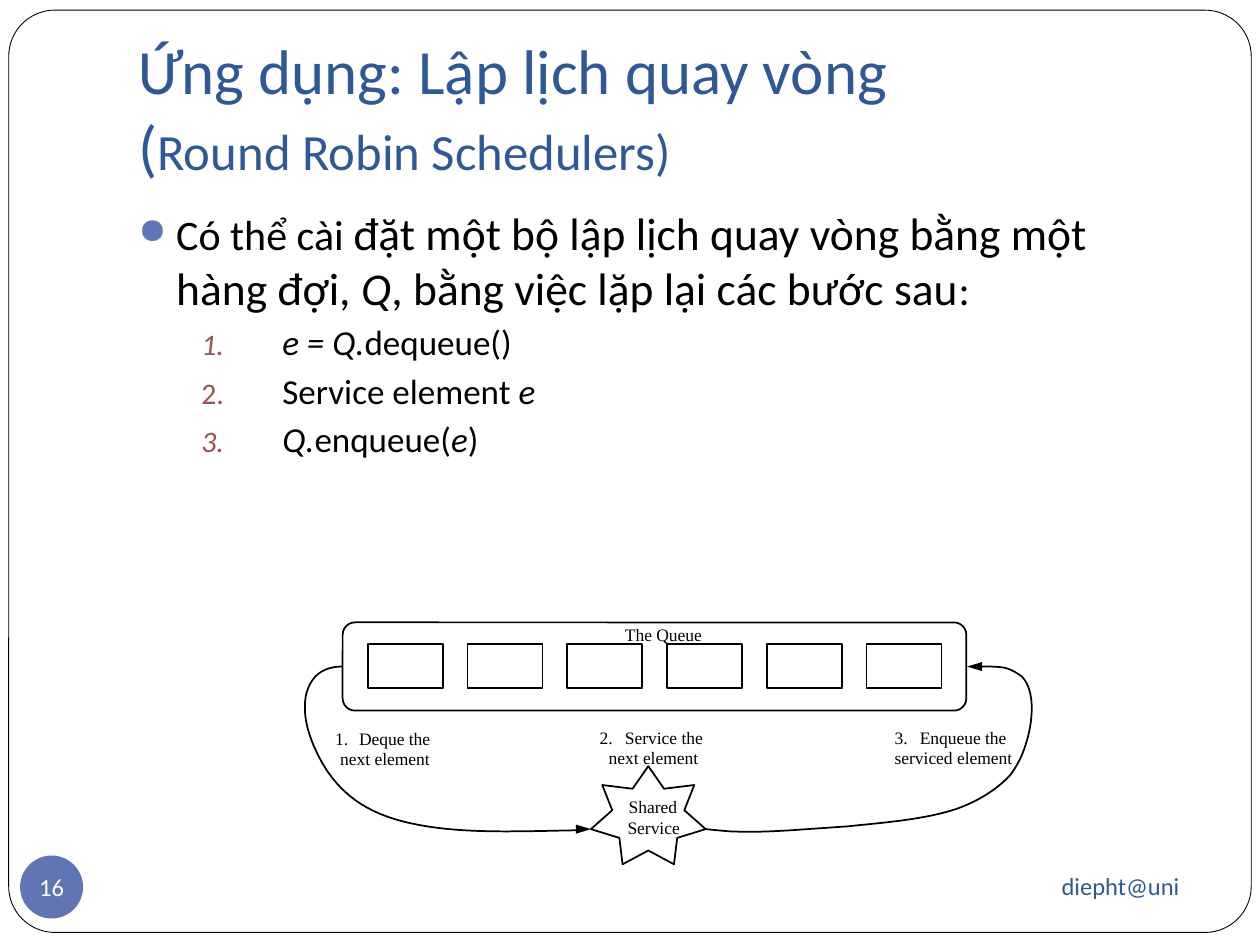
from dataclasses import dataclass

from lxml.etree import SubElement
from pptx import Presentation
from pptx.dml.color import RGBColor
from pptx.enum.shapes import MSO_SHAPE
from pptx.enum.text import MSO_ANCHOR, PP_ALIGN
from pptx.oxml.ns import qn
from pptx.util import Pt

COLORS = {
    "title": "2F5897", "accent": "6076B4", "number": "9C5252",
    "ink": "000000", "paper": "FFFFFF",
}
Point = tuple[float, float]


@dataclass
class Run:
    text: str
    size: float
    color: str = "ink"
    italic: bool = False
    font: str = "Calibri"


@dataclass
class Step:
    number: str
    number_left: float
    words: str
    words_left: float
    rest: str
    rest_left: float
    top: float


def rgb(name: str) -> RGBColor:
    return RGBColor.from_string(COLORS[name])


def paint(sp, fill: str | None, line: str | None, width: float = 1) -> None:
    sp.shadow.inherit = False
    if fill:
        sp.fill.solid()
        sp.fill.fore_color.rgb = rgb(fill)
    else:
        sp.fill.background()
    if line:
        sp.line.color.rgb = rgb(line)
        sp.line.width = Pt(width)
    else:
        sp.line.fill.background()


def add_box(s, kind, left: float, top: float, width: float, height: float,
            fill: str | None, line: str | None, weight: float = 1):
    sp = s.shapes.add_shape(kind, Pt(left), Pt(top), Pt(width), Pt(height))
    paint(sp, fill, line, weight)
    return sp


def add_outline(s, points: list[Point], fill: str | None, line: str | None,
                closed: bool = True) -> None:
    emu = [(Pt(x), Pt(y)) for x, y in points]
    builder = s.shapes.build_freeform(*emu[0])
    builder.add_line_segments(emu[1:], close=closed)
    paint(builder.convert_to_shape(), fill, line)


def trace_curve(points: list[Point], steps: int = 16) -> list[Point]:
    """Follow a chain of cubic curves: a start, then two handles and an end each."""
    path = [points[0]]
    for i in range(0, len(points) - 1, 3):
        a, b, c, d = points[i:i + 4]
        for n in range(1, steps + 1):
            t = n / steps
            u = 1 - t
            path.append(tuple(
                u**3 * a[k] + 3 * u * u * t * b[k] + 3 * u * t * t * c[k] + t**3 * d[k]
                for k in (0, 1)))
    return path


def add_arrow(s, curve: list[Point], tip: Point, head: float) -> None:
    """Draw a curve and its head; head is the signed run from tip to base."""
    add_outline(s, trace_curve(curve), None, "ink", closed=False)
    x, y = tip
    add_outline(s, [(x + head, y - 2.6), tip, (x + head, y + 2.6)], "ink", None)


def set_frame(tf, margins=(7.2, 3.6, 7.2, 3.6), anchor=MSO_ANCHOR.TOP,
              wrap: bool = True) -> None:
    tf.margin_left, tf.margin_top, tf.margin_right, tf.margin_bottom = map(Pt, margins)
    tf.vertical_anchor = anchor
    tf.word_wrap = wrap


def add_text(s, left: float, top: float, width: float, height: float, **frame):
    tf = s.shapes.add_textbox(Pt(left), Pt(top), Pt(width), Pt(height)).text_frame
    set_frame(tf, **frame)
    return tf


def add_runs(p, runs: list[Run]) -> None:
    for run in runs:
        r = p.add_run()
        r.text = run.text
        r.font.name = run.font
        r.font.size = Pt(run.size)
        r.font.italic = run.italic
        r.font.color.rgb = rgb(run.color)


def add_label(s, text: str, left: float, top: float, width: float = 70) -> None:
    tf = add_text(s, left, top, width, 12.2, margins=(0, 0, 0, 0), wrap=False)
    add_runs(tf.paragraphs[0], [Run(text, 10, font="Times New Roman")])


def set_bullet(p, left: float, hang: float, color: str, tag: str, **attrs: str) -> None:
    pPr = p._p.get_or_add_pPr()
    pPr.set("marL", str(Pt(left)))
    pPr.set("indent", str(-Pt(hang)))
    clr = SubElement(pPr, qn("a:buClr"))
    SubElement(clr, qn("a:srgbClr"), val=COLORS[color])
    SubElement(pPr, qn("a:buSzPct"), val="85000")
    SubElement(pPr, qn(tag), **attrs)


def add_heading(s) -> None:
    tf = add_text(s, 72, 21.6, 612, 90, margins=(7.2, 3.6, 7.2, 7.2),
                  anchor=MSO_ANCHOR.BOTTOM)
    p = tf.paragraphs[0]
    add_runs(p, [Run("Ứng dụng: Lập lịch quay vòng", 36, "title")])
    p.add_line_break()
    add_runs(p, [Run("(", 36, "title"), Run("Round Robin Schedulers)", 29, "title")])


def add_body(s) -> None:
    tf = add_text(s, 72, 113.76, 612, 360)
    p = tf.paragraphs[0]
    p.space_before = Pt(5.8)
    set_bullet(p, 21.6, 21.6, "accent", "a:buChar", char="●")
    add_runs(p, [
        Run("Có thể cài ", 24),
        Run("đặt một bộ lập lịch quay vòng bằng một hàng đợi, ", 26),
        Run("Q", 26, italic=True),
        Run(", bằng việc lặp lại các bước sau", 26),
        Run(":", 24),
    ])
    for parts in (
        [("e = Q.", True), ("dequeue()", False)],
        [("Service element ", False), ("e", True)],
        [("Q.", True), ("enqueue(", False), ("e", True), (")", False)],
    ):
        p = tf.add_paragraph()
        p.level = 1
        p.space_before = Pt(3.7)
        set_bullet(p, 82.3, 46.3, "number", "a:buAutoNum", type="arabicPeriod")
        add_runs(p, [Run(text, 20, italic=italic) for text, italic in parts])


def add_queue(s) -> None:
    queue = add_box(s, MSO_SHAPE.ROUNDED_RECTANGLE, 195.8, 355.7, 356.4, 50.4,
                    "paper", "ink")
    queue.adjustments[0] = 0.14
    for i in range(6):
        add_box(s, MSO_SHAPE.RECTANGLE, 210.2 + 57 * i, 368, 42.8, 25.1, "paper", "ink")
    add_label(s, "The Queue", 357.1, 356.4)


def add_service(s) -> None:
    center = 370.5
    half = [(0, 437.8), (9, 450.7), (26.3, 448.6), (20.6, 463), (32.8, 473.8),
            (16.5, 478.8), (14.7, 493.9), (0, 486)]
    right = [(center + x, y) for x, y in half]
    left = [(center - x, y) for x, y in half[-2:0:-1]]
    add_outline(s, right + left, "paper", "ink")
    add_label(s, "Shared", 359.3, 455, 30)
    add_label(s, "Service", 358.6, 466.6, 30)


def add_cycle(s) -> None:
    add_arrow(s, [
        (195.8, 380.9), (182.2, 380.9), (177.1, 388.8), (175, 396.7),
        (172.8, 407.5), (175.7, 417.6), (179.3, 426.2),
        (191.5, 455), (211.7, 465.1), (233.3, 470.2),
        (261.4, 476.6), (291.6, 475.2), (329.8, 474.5)], (337.7, 473.8), -8.6)
    add_arrow(s, [
        (403.2, 473.8), (416.9, 475.2), (418.3, 475.2), (419.8, 475.2),
        (439.9, 475.9), (459.4, 473.8), (483.8, 472.3),
        (503.3, 470.2), (525.6, 468.7), (544.3, 463),
        (558, 458.6), (569.5, 451.4), (577.4, 442.8),
        (581, 437.8), (583.9, 432.7), (586.1, 425.5),
        (590.4, 412.6), (591.8, 394.6), (583.9, 386.6),
        (581, 384.5), (577.4, 382.3), (573.8, 381.6),
        (570.2, 380.9), (565.9, 380.9), (560.2, 380.9)], (552.6, 380.9), 8.6)
    for step in (
        Step("1.", 191.5, "Deque the", 205.2, "next element", 194.4, 416.2),
        Step("2.", 342.7, "Service the", 357.1, "next element", 347.8, 415.4),
        Step("3.", 511.2, "Enqueue the", 525.6, "serviced element", 511.2, 415.4),
    ):
        add_label(s, step.number, step.number_left, step.top, 10)
        add_label(s, step.words, step.words_left, step.top, 52)
        add_label(s, step.rest, step.rest_left, step.top + 11.5)


def add_footer(s) -> None:
    tf = add_text(s, 486, 487.4, 195.1, 37.4, anchor=MSO_ANCHOR.MIDDLE)
    tf.paragraphs[0].alignment = PP_ALIGN.RIGHT
    add_runs(tf.paragraphs[0], [Run("diepht@uni", 14, "title")])
    badge = add_box(s, MSO_SHAPE.OVAL, 11.5, 488.9, 36, 36, "accent", None)
    tf = badge.text_frame
    set_frame(tf, (0, 0, 0, 0), MSO_ANCHOR.MIDDLE, wrap=False)
    tf.paragraphs[0].alignment = PP_ALIGN.CENTER
    add_runs(tf.paragraphs[0], [Run("16", 14, "paper")])


def main() -> None:
    prs = Presentation()
    prs.slide_width, prs.slide_height = Pt(720), Pt(540)
    s = prs.slides.add_slide(prs.slide_layouts[6])
    border = add_box(s, MSO_SHAPE.ROUNDED_RECTANGLE, 5, 5.8, 710, 527, "paper", "ink", 0.5)
    border.adjustments[0] = 0.05
    for draw in (add_heading, add_footer, add_body, add_queue, add_service, add_cycle):
        draw(s)
    prs.save("out.pptx")


if __name__ == "__main__":
    main()
